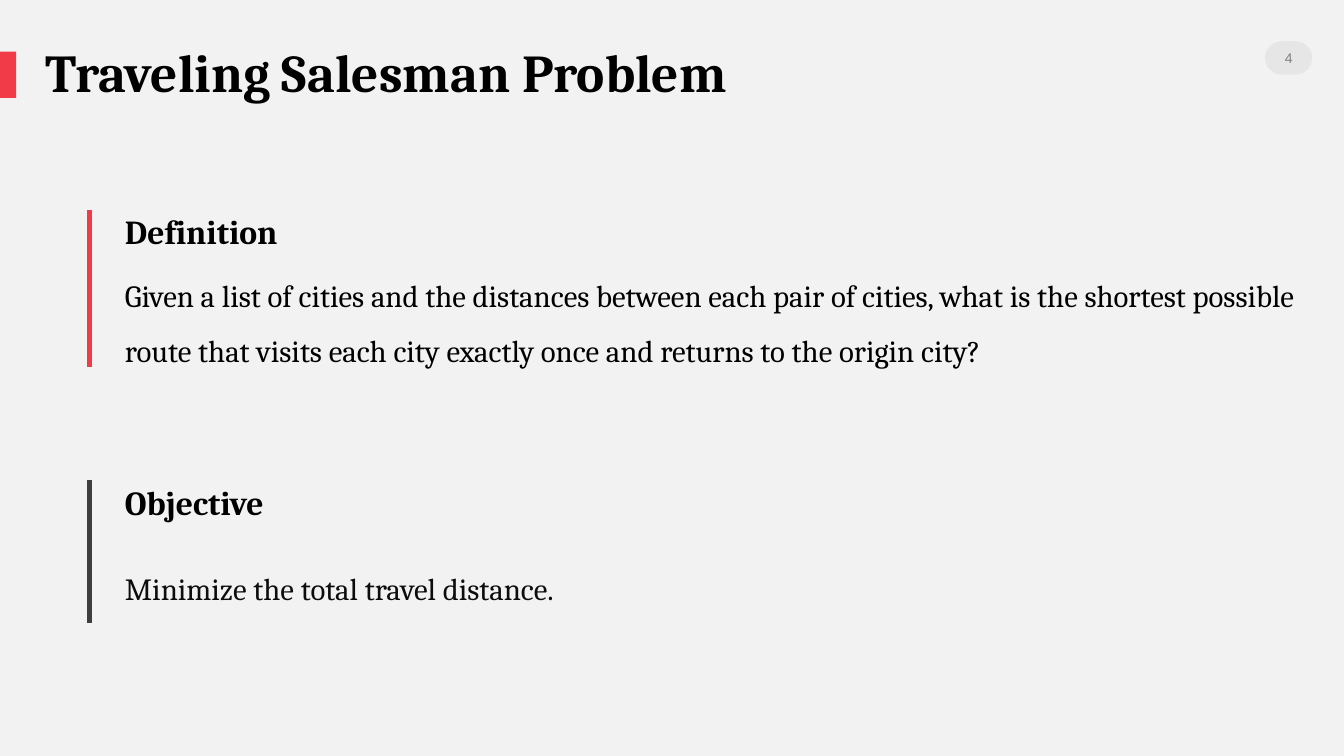
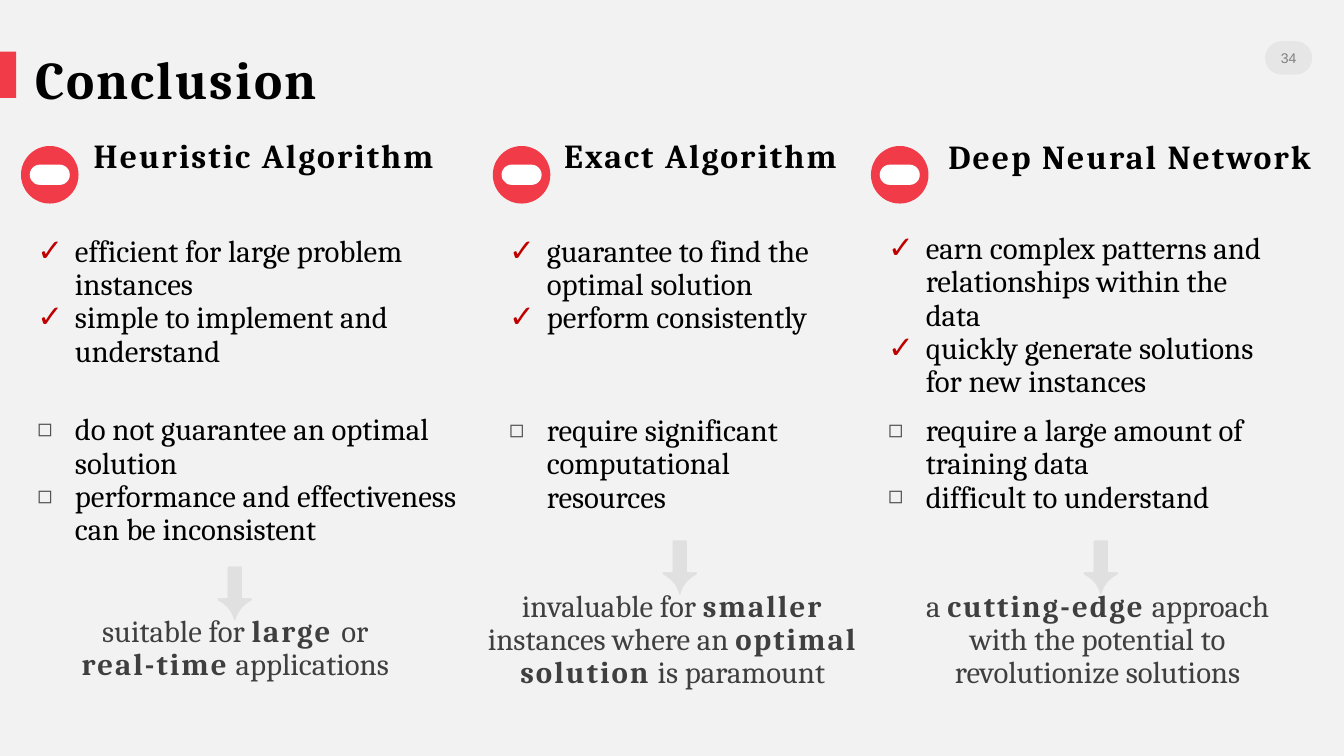
from copy import deepcopy

from lxml import etree
from pptx import Presentation
from pptx.dml.color import RGBColor
from pptx.enum.shapes import MSO_CONNECTOR, MSO_SHAPE
from pptx.enum.text import MSO_ANCHOR, MSO_AUTO_SIZE, PP_ALIGN
from pptx.oxml.ns import qn
from pptx.util import Cm, Pt

ROUND, OVAL = MSO_SHAPE.ROUNDED_RECTANGLE, MSO_SHAPE.OVAL
LEFT, CENTER = PP_ALIGN.LEFT, PP_ALIGN.CENTER
TOP, MIDDLE = MSO_ANCHOR.TOP, MSO_ANCHOR.MIDDLE

COLORS = {
    "back": "F2F2F2", "accent": "F23B48", "pill": "E7E6E6", "number": "808080",
    "text": "000000", "soft": "0D0D0D", "dark": "3F3F3F", "arrow": "E0E0E0",
    "check": "C00000", "square": "535353", "white": "FFFFFF",
}
SERIF, SANS = "Cambria", "Arial"
PILL = (31.88, 1.04, 1.19, 0.84)
TRACKING = 1.5

# Content: lengths in cm, boxes as left, top, width, height
PROBLEM = {
    "title": "Traveling Salesman Problem", "number": "4",
    "title_box": (1.02, 1.04, 28.78, 1.73),
    "sections": [
        {"heading": "Definition", "heading_box": (3.15, 5.44, 23.22, 0.91),
         "text": "Given a list of cities and the distances between each pair of cities, "
                 "what is the shortest possible route that visits each city exactly once "
                 "and returns to the origin city?",
         "text_box": (3.15, 6.5, 29.87, 2.64), "color": "text",
         "bar": (5.28, 9.25), "bar_color": "accent"},
        {"heading": "Objective", "heading_box": (3.15, 12.27, 5.36, 0.94),
         "text": "Minimize the total travel distance.",
         "text_box": (3.15, 13.89, 12.75, 1.24), "color": "soft",
         "bar": (12.09, 15.7), "bar_color": "dark"},
    ],
}
CONCLUSION = {
    "title": "Conclusion", "number": "34",
    "title_box": (0.76, 1.22, 10.59, 1.73),
    "columns": [
        {"heading": "Heuristic Algorithm", "heading_box": (2.36, 3.51, 8.59, 1),
         "icon_left": 0.53,
         "pros": ["efficient for large problem instances",
                  "simple to implement and understand"],
         "pros_box": (0.94, 5.94, 10.01, 3.66),
         "cons": ["do not guarantee an optimal solution",
                  "performance and effectiveness can be inconsistent"],
         "cons_box": (0.94, 10.44, 11.48, 3.71),
         "verdict": [("suitable for ", False), ("large ", True), ("or ", False),
                     ("real-time", True), (" applications", False)],
         "verdict_box": (1.8, 15.52, 8.26, 1.98), "arrow_left": 5.33},
        {"heading": "Exact Algorithm", "heading_box": (14.22, 3.51, 7.11, 1),
         "icon_left": 12.42,
         "pros": ["guarantee to find the optimal solution", "perform consistently"],
         "pros_box": (12.83, 5.94, 8.43, 2.82),
         "cons": ["require significant computational resources"],
         "cons_box": (12.83, 10.46, 7.49, 2.97),
         "verdict": [("invaluable for ", False), ("smaller", True),
                     (" instances where an ", False), ("optimal solution", True),
                     (" is paramount", False)],
         "verdict_box": (11.99, 14.88, 9.93, 2.59), "arrow_left": 16.54},
        {"heading": "Deep Neural Network", "heading_box": (23.9, 3.53, 9.27, 1),
         "icon_left": 21.95,
         "pros": ["earn complex patterns and relationships within the data",
                  "quickly generate solutions for new instances"],
         "pros_box": (22.38, 5.87, 10.01, 4.09),
         "cons": ["require a large amount of training data", "difficult to understand"],
         "cons_box": (22.38, 10.46, 9.35, 2.97),
         "verdict": [("a ", False), ("cutting-edge", True),
                     (" approach with the potential to revolutionize solutions", False)],
         "verdict_box": (22.96, 14.88, 9.4, 2.59), "arrow_left": 27.15},
    ],
}
BULLETS = {"pros": ("✓", "check", 100), "cons": ("◻", "square", 80)}


def rgb(name):
    return RGBColor.from_string(COLORS[name])


def place(sp, box):
    sp.left, sp.top, sp.width, sp.height = [Cm(v) for v in box]


def add_shape(slide, kind, box, color, rounding=None):
    sp = slide.shapes.add_shape(kind, *[Cm(v) for v in box])
    sp.shadow.inherit = False
    sp.fill.solid()
    sp.fill.fore_color.rgb = rgb(color)
    sp.line.fill.background()
    if rounding is not None:
        sp.adjustments[0] = rounding
    return sp


def add_box(slide, box):
    return slide.shapes.add_textbox(*[Cm(v) for v in box])


def set_bullet(p, bullet):
    pPr = p._p.get_or_add_pPr()
    if bullet is None:
        pPr.set("marL", "0")
        pPr.set("indent", "0")
        etree.SubElement(pPr, qn("a:buNone"))
        return
    char, color, size = bullet
    pPr.set("marL", str(Cm(0.95)))
    pPr.set("indent", str(-Cm(0.95)))
    clr = etree.SubElement(pPr, qn("a:buClr"))
    etree.SubElement(clr, qn("a:srgbClr"), val=COLORS[color])
    etree.SubElement(pPr, qn("a:buSzPct"), val=str(size * 1000))
    etree.SubElement(pPr, qn("a:buChar"), char=char)


def write(sp, paragraphs, size, color="text", font=SERIF, spacing=0.9, align=LEFT,
          anchor=TOP, margin=0, bullet=None, tracking=0):
    """Fill a box; each paragraph is a list of (text, bold) runs."""
    tf = sp.text_frame
    tf.word_wrap = True
    tf.auto_size = MSO_AUTO_SIZE.NONE
    tf.vertical_anchor = anchor
    tf.margin_left = tf.margin_right = tf.margin_top = tf.margin_bottom = Cm(margin)
    for i, runs in enumerate(paragraphs):
        p = tf.add_paragraph() if i else tf.paragraphs[0]
        set_bullet(p, bullet)
        p.alignment = align
        p.line_spacing = spacing
        p.space_before = p.space_after = Pt(0)
        for text, bold in runs:
            r = p.add_run()
            r.text = text
            r.font.name, r.font.size, r.font.bold = font, Pt(size), bold
            r.font.color.rgb = rgb(color)
            if bold and tracking:
                r._r.get_or_add_rPr().set("spc", str(int(tracking * 100)))


def start_slide(prs, layout, data, tracking=0):
    """Add a slide with its title and page number."""
    slide = prs.slides.add_slide(layout)
    place(slide.shapes.title, data["title_box"])
    write(slide.shapes.title, [[(data["title"], True)]], 38, margin=0.13,
          tracking=tracking)
    write(add_box(slide, PILL), [[(data["number"], False)]], 10, "number", SANS,
          spacing=1, align=CENTER, anchor=MIDDLE)
    return slide


def decorate_master(prs, slide):
    """Give the master the background, title mark and number pill."""
    master = prs.slide_master
    master.background.fill.solid()
    master.background.fill.fore_color.rgb = rgb("back")
    parts = [add_shape(slide, ROUND, (0, 1.3, 0.41, 1.17), "accent", 0),
             add_shape(slide, ROUND, PILL, "pill", 0.5)]
    for i, sp in enumerate(parts):
        sp.element.nvSpPr.cNvPr.set("id", str(101 + i))
        master.shapes.element.append(sp.element)


def extend_layout(layout, count):
    """Copy the layout's list placeholder until it has count of them."""
    source = layout.placeholders[1].element
    for idx in range(20, 20 + count - 2):
        extra = deepcopy(source)
        extra.nvSpPr.cNvPr.set("id", str(100 + idx))
        extra.nvSpPr.nvPr.find(qn("p:ph")).set("idx", str(idx))
        layout.shapes.element.append(extra)
    return layout


def body_placeholders(slide):
    return iter([ph for ph in slide.placeholders if ph.placeholder_format.idx > 0])


def build_problem(prs):
    slide = start_slide(prs, prs.slide_layouts[4], PROBLEM)
    bodies = body_placeholders(slide)
    for section in PROBLEM["sections"]:
        heading, text = next(bodies), next(bodies)
        place(heading, section["heading_box"])
        write(heading, [[(section["heading"], True)]], 24)
        place(text, section["text_box"])
        write(text, [[(section["text"], False)]], 22, section["color"], spacing=1.5)
        top, bottom = section["bar"]
        bar = slide.shapes.add_connector(MSO_CONNECTOR.STRAIGHT, Cm(2.26), Cm(top),
                                         Cm(2.26), Cm(bottom))
        bar.line.color.rgb = rgb(section["bar_color"])
        bar.line.width = Pt(4)
        etree.SubElement(bar._element.spPr, qn("a:effectLst"))
    return slide


def build_conclusion(prs):
    columns = CONCLUSION["columns"]
    layout = extend_layout(prs.slide_layouts[3], len(columns) * len(BULLETS))
    slide = start_slide(prs, layout, CONCLUSION, TRACKING)
    bodies = body_placeholders(slide)
    for col in columns:
        # Icon and heading
        left = col["icon_left"]
        add_shape(slide, OVAL, (left, 3.68, 1.45, 1.45), "accent")
        add_shape(slide, ROUND, (left + 0.22, 4.15, 1.01, 0.51), "white", 0.5)
        write(add_box(slide, col["heading_box"]), [[(col["heading"], True)]], 24,
              tracking=TRACKING)
        # Strengths and weaknesses
        for side, bullet in BULLETS.items():
            sp = next(bodies)
            place(sp, col[side + "_box"])
            write(sp, [[(item, False)] for item in col[side]], 22, bullet=bullet)
        # Verdict below its arrow
        verdict_top = col["verdict_box"][1]
        write(add_box(slide, col["verdict_box"]), [col["verdict"]], 22, "dark",
              align=CENTER, tracking=TRACKING)
        write(add_box(slide, (col["arrow_left"], verdict_top - 1.8, 1.17, 1.83)),
              [[("⬇", True)]], 44, "arrow", SANS, spacing=1, margin=0.13)


def main():
    prs = Presentation()
    prs.slide_width, prs.slide_height = Cm(33.87), Cm(19.05)
    decorate_master(prs, build_problem(prs))
    build_conclusion(prs)
    prs.save("out.pptx")


if __name__ == "__main__":
    main()
